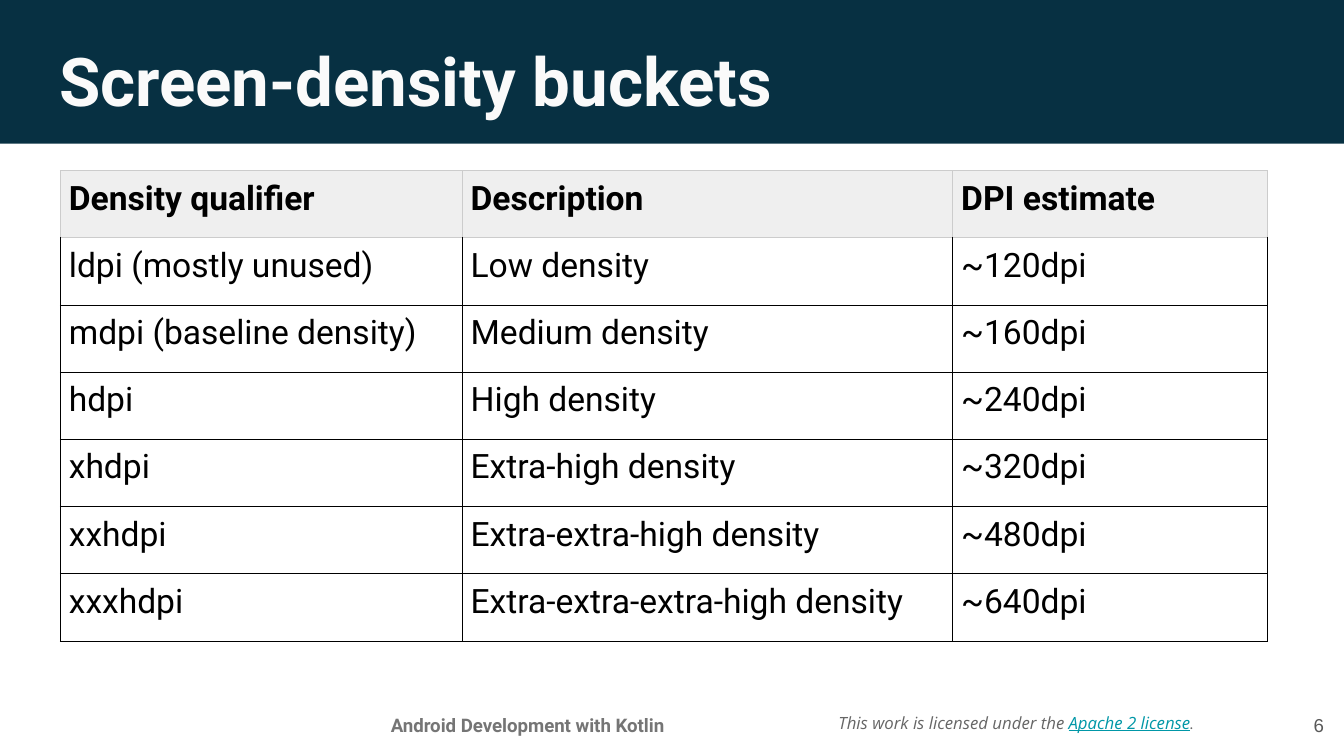
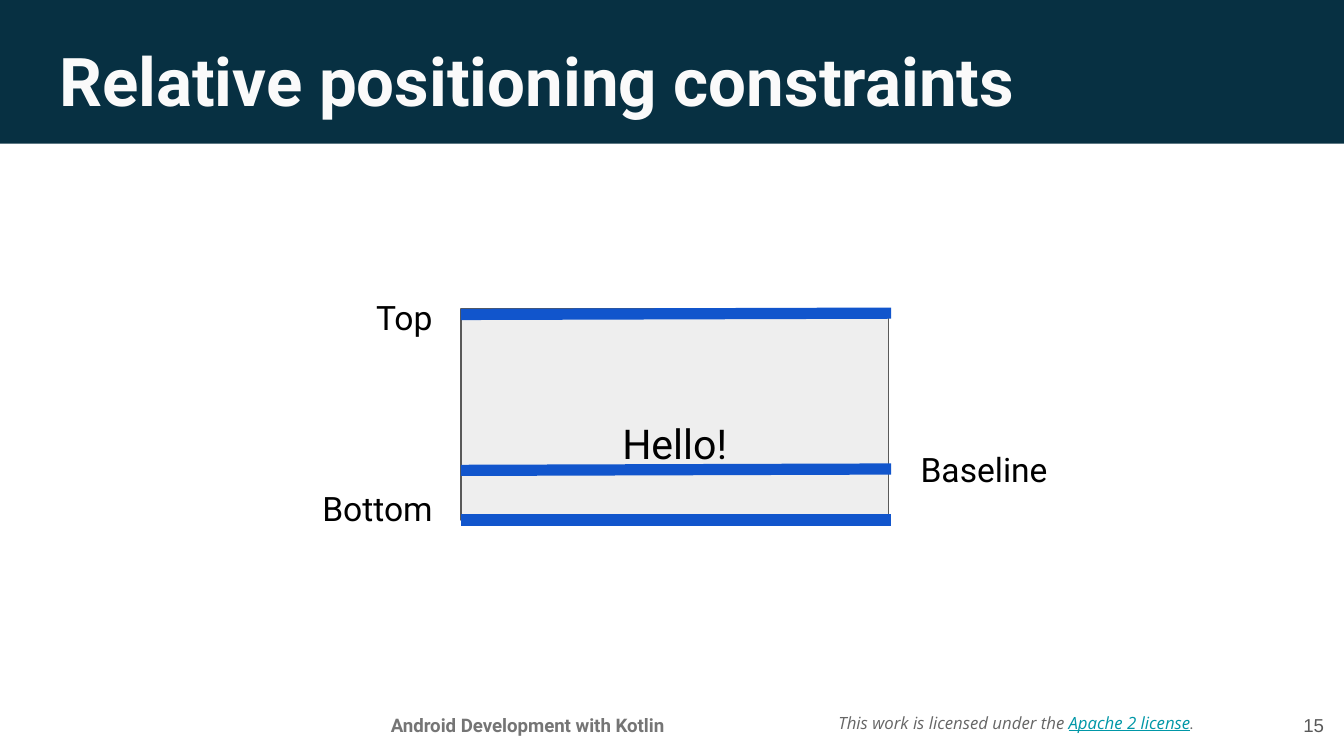
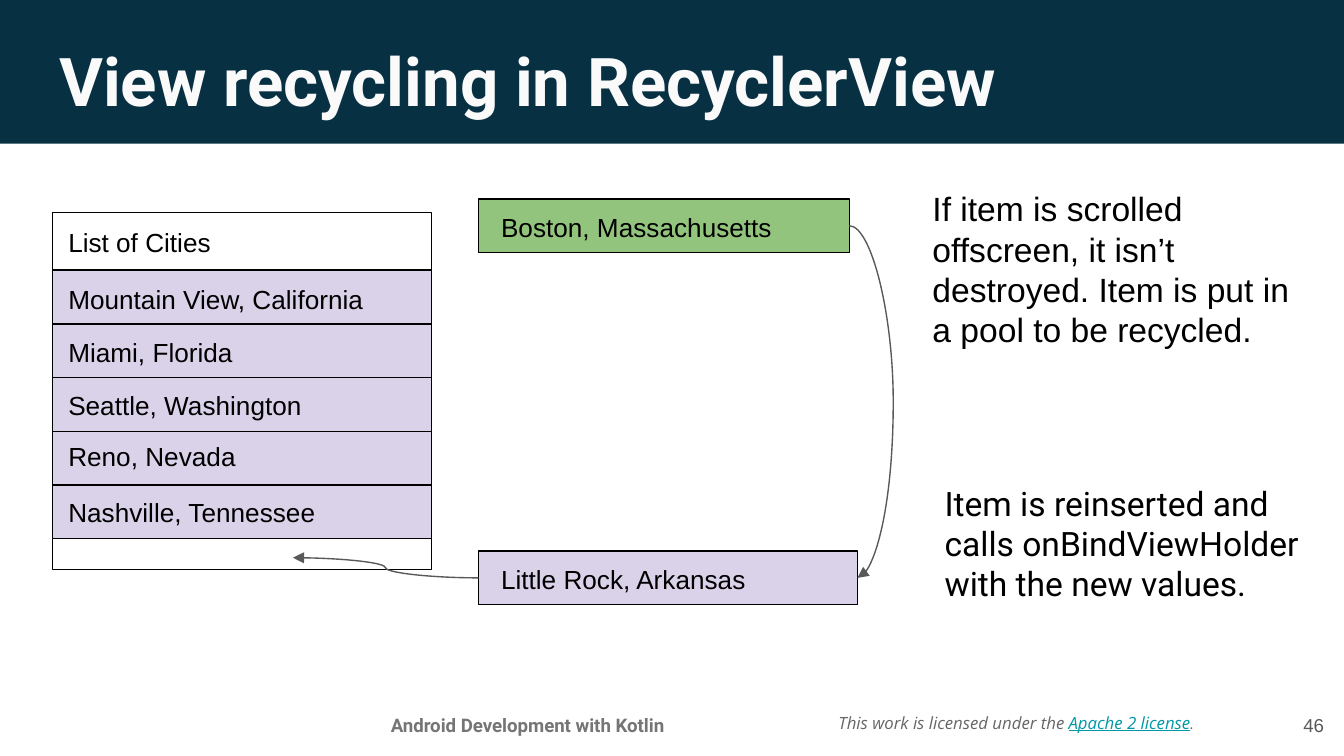
from dataclasses import dataclass

from lxml import etree
from pptx import Presentation
from pptx.dml.color import RGBColor
from pptx.enum.shapes import MSO_CONNECTOR, MSO_SHAPE
from pptx.enum.text import MSO_ANCHOR, MSO_AUTO_SIZE, PP_ALIGN
from pptx.oxml.ns import qn
from pptx.util import Emu, Pt

PX = 9144  # 100 px to the inch
TITLE_ONLY = 5
RECTANGLE = MSO_SHAPE.RECTANGLE
STRAIGHT, CURVE = MSO_CONNECTOR.STRAIGHT, MSO_CONNECTOR.CURVE
LEFT, CENTER, RIGHT = PP_ALIGN.LEFT, PP_ALIGN.CENTER, PP_ALIGN.RIGHT
TOP, MIDDLE, BOTTOM = MSO_ANCHOR.TOP, MSO_ANCHOR.MIDDLE, MSO_ANCHOR.BOTTOM


@dataclass(frozen=True)
class Theme:
    navy: str = "073042"
    title: str = "FAFAFA"
    black: str = "000000"
    course: str = "757575"
    license: str = "666666"
    link: str = "0097A7"
    gray: str = "595959"
    header: str = "EFEFEF"
    header_line: str = "CCCCCC"
    widget: str = "EEEEEE"
    guide: str = "1155CC"
    lilac: str = "D9D2E9"
    green: str = "93C47D"
    main_font: str = "Roboto"
    list_font: str = "Arial"
    license_font: str = "Open Sans"
    title_size: int = 36
    widget_size: int = 22
    body_size: int = 18
    list_size: int = 14
    footer_size: int = 10
    license_size: int = 9
    cell_inset: float = 4.5
    thin: float = 0.75
    hairline: float = 0.5
    thick: int = 6


THEME = Theme()

DENSITIES = [
    ("Density qualifier", "Description", "DPI estimate"),
    ("ldpi (mostly unused)", "Low density", "~120dpi"),
    ("mdpi (baseline density)", "Medium density", "~160dpi"),
    ("hdpi", "High density", "~240dpi"),
    ("xhdpi", "Extra-high density", "~320dpi"),
    ("xxhdpi", "Extra-extra-high density", "~480dpi"),
    ("xxxhdpi", "Extra-extra-extra-high density", "~640dpi"),
]

# City and the vertical shift of its label from the top of its row
CITIES = [
    ("Mountain View, California", 0),
    ("Miami, Florida", -1),
    ("Seattle, Washington", -1),
    ("Reno, Nevada", -3),
    ("Nashville, Tennessee", -2),
]


def px(*lengths):
    return [Emu(length * PX) for length in lengths]


def rgb(color):
    return RGBColor.from_string(color)


def style_font(font, size, color=THEME.black, name=THEME.main_font, bold=False):
    font.name, font.size, font.bold = name, Pt(size), bold
    font.color.rgb = rgb(color)


def set_frame(frame, anchor=TOP, inset=10):
    frame.word_wrap = True
    frame.auto_size = MSO_AUTO_SIZE.NONE
    frame.vertical_anchor = anchor
    frame.margin_left = Emu(inset * PX)
    frame.margin_top = frame.margin_right = frame.margin_bottom = Emu(10 * PX)


def add_text(page, box, text, size, align=LEFT, anchor=TOP, inset=10, **style):
    frame = page.shapes.add_textbox(*px(*box)).text_frame
    set_frame(frame, anchor, inset)
    para = frame.paragraphs[0]
    para.text, para.alignment = text, align
    style_font(para.font, size, **style)


def add_rectangle(page, box, fill=None, line=None):
    shape = page.shapes.add_shape(RECTANGLE, *px(*box))
    shape.shadow.inherit = False
    if fill:
        shape.fill.solid()
        shape.fill.fore_color.rgb = rgb(fill)
    else:
        shape.fill.background()
    if line:
        shape.line.color.rgb = rgb(line)
        shape.line.width = Pt(THEME.thin)
    else:
        shape.line.fill.background()


def add_line(page, kind, start, end, color, width):
    line = page.shapes.add_connector(kind, *px(*start, *end))
    line.line.color.rgb = rgb(color)
    line.line.width = Pt(width)
    etree.SubElement(line._element.spPr, qn("a:effectLst"))
    return line


def add_curved_arrow(page, start, end, bend=50000):
    """Draw an arrow whose bend is given in 1/100000 of its width."""
    arrow = add_line(page, CURVE, start, end, THEME.gray, THEME.thin)
    etree.SubElement(arrow.line._get_or_add_ln(), qn("a:tailEnd"), type="triangle")
    adjustments = arrow._element.spPr.find(qn("a:prstGeom")).find(qn("a:avLst"))
    etree.SubElement(adjustments, qn("a:gd"), name="adj1", fmla=f"val {bend}")


def add_license(page, box):
    frame = page.shapes.add_textbox(*px(*box)).text_frame
    set_frame(frame, MIDDLE)
    para = frame.paragraphs[0]
    for text, color, name in [
        ("This work is licensed under the ", THEME.license, THEME.license_font),
        ("Apache 2 license", THEME.link, THEME.license_font),
        (".", THEME.license, THEME.main_font),
    ]:
        span = para.add_run()
        span.text = text
        style_font(span.font, THEME.license_size, color, name)
        span.font.italic = True
        span.font.underline = color == THEME.link


def furnish_layout(layout, page):
    """Build the band and footers on a page, then move them to its layout."""
    for holder in list(layout.placeholders)[1:]:
        holder._element.getparent().remove(holder._element)
    add_text(page, (251, 521, 283, 32), "Android Development with Kotlin",
             THEME.footer_size, CENTER, color=THEME.course, bold=True)
    add_license(page, (614, 514, 294, 47))
    add_rectangle(page, (-1, -4, 1001, 111), THEME.navy)
    for shape in list(page.shapes)[1:]:
        layout.shapes._spTree.append(shape._element)


def add_heading(page, text, number):
    title = page.shapes.title
    title.left, title.top, title.width, title.height = px(34, 19, 932, 63)
    set_frame(title.text_frame)
    para = title.text_frame.paragraphs[0]
    para.text, para.alignment = text, LEFT
    style_font(para.font, THEME.title_size, THEME.title, bold=True)
    add_text(page, (935, 518, 60, 43), str(number), THEME.footer_size, RIGHT, MIDDLE,
             color=THEME.gray, name=THEME.list_font)


def set_borders(cell, sides):
    """Draw the sides, given in the order left, right, top, bottom."""
    properties = cell._tc.get_or_add_tcPr()
    for index, (tag, (color, width)) in enumerate(zip("LRTB", sides)):
        line = etree.Element(qn(f"a:ln{tag}"), w=str(Pt(width)))
        fill = etree.SubElement(line, qn("a:solidFill"))
        etree.SubElement(fill, qn("a:srgbClr"), val=color)
        properties.insert(index, line)


def fill_cell(cell, text, row):
    is_header = row == 0
    cell.margin_left = cell.margin_right = Pt(THEME.cell_inset)
    cell.margin_top = cell.margin_bottom = Pt(THEME.cell_inset)
    para = cell.text_frame.paragraphs[0]
    para.text, para.space_after = text, Pt(6)
    style_font(para.font, THEME.body_size, bold=is_header)
    if is_header:
        cell.fill.solid()
        cell.fill.fore_color.rgb = rgb(THEME.header)
    else:
        cell.fill.background()
    color = THEME.header_line if is_header else THEME.black
    top_color = THEME.header_line if row <= 1 else THEME.black
    side = (color, THEME.thin)
    set_borders(cell, [side, side, (top_color, THEME.hairline), (color, THEME.hairline)])


def add_density_table(page, left, top):
    widths, row_height = (299, 365, 234), 50
    box = (left, top, sum(widths), row_height * len(DENSITIES))
    table = page.shapes.add_table(len(DENSITIES), len(widths), *px(*box)).table
    table.first_row = table.horz_banding = False
    for column, width in zip(table.columns, px(*widths)):
        column.width = width
    for row, texts in enumerate(DENSITIES):
        for column, text in enumerate(texts):
            fill_cell(table.cell(row, column), text, row)


def add_constraint_diagram(page, left, top, width, height):
    add_rectangle(page, (left, top, width, height), THEME.widget, THEME.gray)
    add_text(page, (left, top + 50, width, 78), "Hello!", THEME.widget_size, CENTER, BOTTOM)
    for start, end in [(120, 119), (157, 157), (4, 3)]:
        add_line(page, STRAIGHT, (left, top + start), (left + width + 2, top + end),
                 THEME.guide, THEME.thick)
    for text, x, y, label_width, inset in [
        ("Top", -73, -8, 70, 10),
        ("Bottom", -113, 134, 113, 10),
        ("Baseline", width + 2, 105, 143, 22),
    ]:
        add_text(page, (left + x, top + y, label_width, 28), text, THEME.body_size,
                 anchor=MIDDLE, inset=inset)


def add_city(page, box, text, color, shift_x, shift_y):
    add_rectangle(page, box, color, THEME.black)
    add_text(page, (box[0] + shift_x, box[1] + shift_y, 257, 29), text, THEME.list_size,
             name=THEME.list_font)


def add_city_list(page, left, top, width, height):
    heading_height, row_height = 43, 40
    add_rectangle(page, (left, top, width, height), line=THEME.black)
    add_text(page, (left + 2, top + 9, 266, 26), "List of Cities", THEME.list_size,
             anchor=MIDDLE, name=THEME.list_font)
    for row, (city, shift) in enumerate(CITIES):
        row_top = top + heading_height + row * row_height
        add_city(page, (left, row_top, width, row_height), city, THEME.lilac, 2, shift)


def add_recycling(page, left, top):
    """Show the scrolled-off item, its reuse and the notes beside them."""
    add_city(page, (left, top, 276, 40), "Boston, Massachusetts", THEME.green, 7, -1)
    add_city(page, (left, top + 262, 282, 40), "Little Rock, Arkansas", THEME.lilac, 7, -1)
    add_text(page, (left + 328, top - 18, 296, 156),
             "If item is scrolled offscreen, it isn’t destroyed. "
             "Item is put in a pool to be recycled.",
             THEME.body_size, name=THEME.list_font)
    add_text(page, (left + 337, top + 201, 290, 91),
             "Item is reinserted and calls onBindViewHolder with the new values.",
             THEME.body_size)
    add_curved_arrow(page, (left + 276, top + 20), (left + 282, top + 282), 545900)
    add_curved_arrow(page, (left, top + 282), (left - 138, top + 267))


def build_density_slide(page):
    add_heading(page, "Screen-density buckets", 6)
    add_density_table(page, 45, 127)


def build_constraint_slide(page):
    add_heading(page, "Relative positioning constraints", 15)
    add_constraint_diagram(page, 343, 230, 318, 157)


def build_recycling_slide(page):
    add_heading(page, "View recycling in RecyclerView", 46)
    add_city_list(page, 39, 158, 282, 266)
    add_recycling(page, 356, 148)


def main():
    deck = Presentation()
    deck.slide_width = Emu(1000 * PX)
    deck.slide_height = Emu(deck.slide_width * 9 // 16)
    layout = deck.slide_layouts[TITLE_ONLY]
    builders = [build_density_slide, build_constraint_slide, build_recycling_slide]
    pages = [deck.slides.add_slide(layout) for _ in builders]
    furnish_layout(layout, pages[0])
    for build, page in zip(builders, pages):
        build(page)
    deck.save("out.pptx")


if __name__ == "__main__":
    main()
